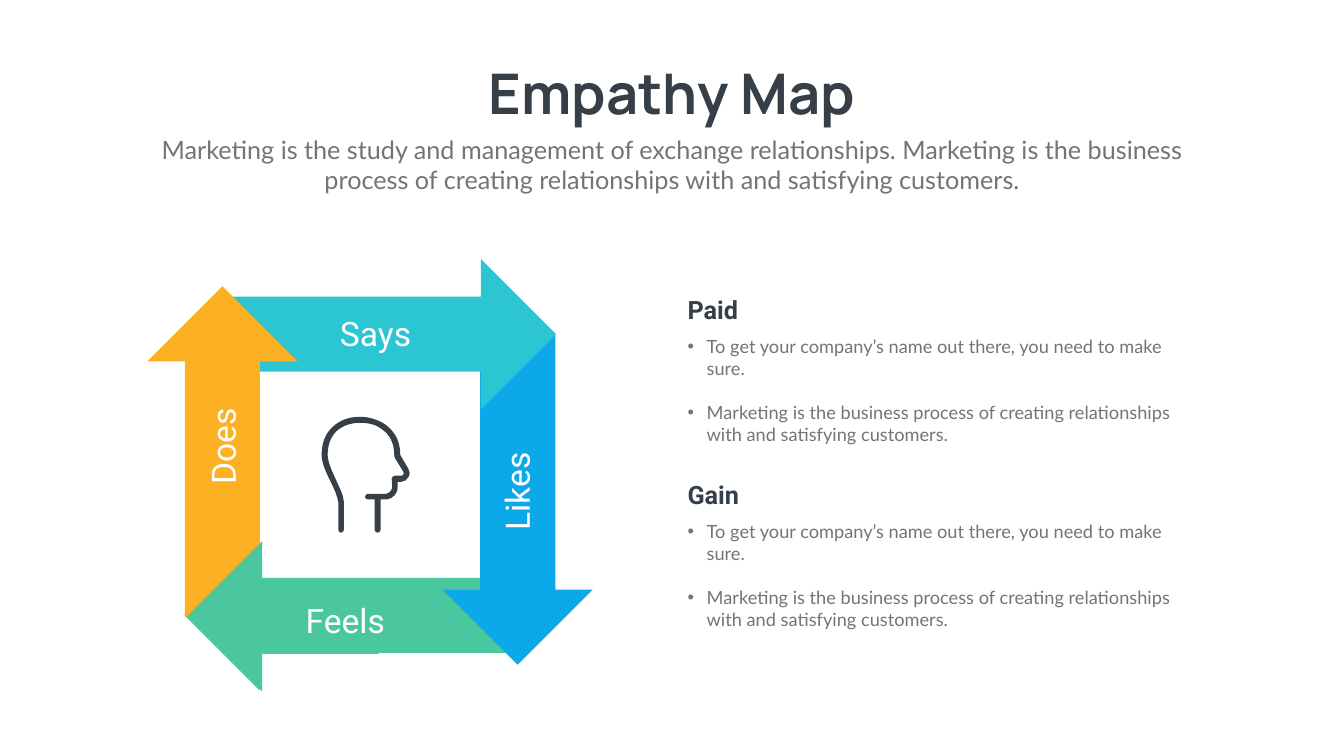
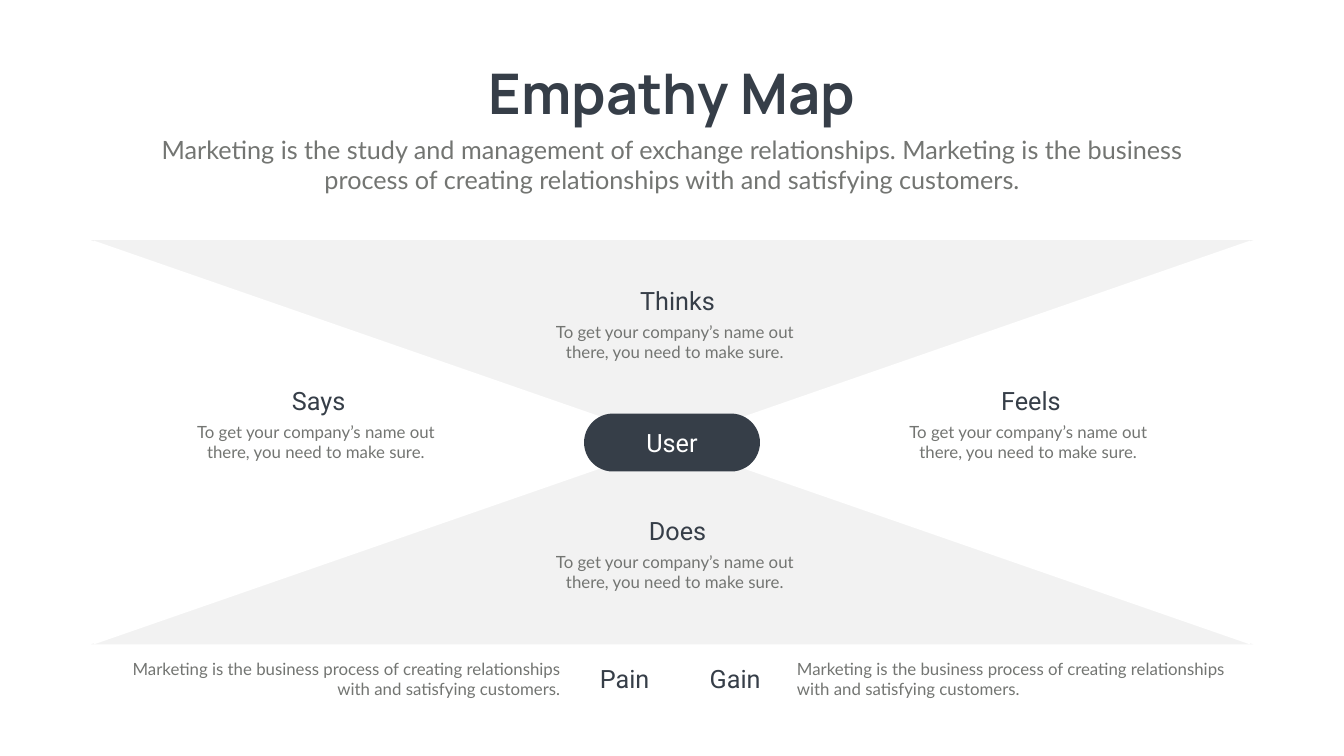
from pptx import Presentation
from pptx import util as u
from pptx.dml.color import RGBColor
from pptx.enum import shapes, text
from lxml import etree

COLUMNS, ROWS = 26.66, 15
CELL = u.Inches(1)
INK, GREY, PALE, WHITE = "363E48", "737572", "F2F2F2", "FFFFFF"
GREEN, BLUE, TEAL, AMBER = "4BC79F", "0BA9E9", "2CC5D2", "FBB123"
LEFT, CENTER, RIGHT = text.PP_ALIGN.LEFT, text.PP_ALIGN.CENTER, text.PP_ALIGN.RIGHT
A = "{http://schemas.openxmlformats.org/drawingml/2006/main}"

SUBTITLE = (
    "Marketing is the study and management of exchange relationships. "
    "Marketing is the business process of creating relationships with and satisfying customers."
)
NAME_TIP = "To get your company’s name out there, you need to make sure."
PROCESS_TIP = (
    "Marketing is the business process of creating relationships "
    "with and satisfying customers."
)


def add_text(slide, box, lines, size, font="Roboto", color=INK, align=LEFT, bold=False, bullets=False):
    area = slide.shapes.add_textbox(*[int(side * CELL) for side in box])
    area.text_frame.word_wrap = True
    for index, line in enumerate(lines):
        para = area.text_frame.paragraphs[0] if index == 0 else area.text_frame.add_paragraph()
        para.alignment = align
        if index:
            para.space_before = u.Pt(size * 1.2)
        if bullets:
            props = para._p.get_or_add_pPr()
            props.set("marL", str(int(0.38 * CELL)))
            props.set("indent", str(-int(0.38 * CELL)))
            etree.SubElement(props, A + "buFont").set("typeface", "Arial")
            etree.SubElement(props, A + "buChar").set("char", "•")
        run = para.add_run()
        run.text = line
        run.font.size, run.font.name, run.font.bold = u.Pt(size), font, bold
        run.font.color.rgb = RGBColor.from_string(color)
    return area


def add_form(slide, kind, middle, width, height, color, rotation=0):
    left, top = middle[0] - width / 2, middle[1] - height / 2
    form = slide.shapes.add_shape(kind, *[int(side * CELL) for side in (left, top, width, height)])
    form.rotation = rotation
    form.shadow.inherit = False
    form.fill.solid()
    form.fill.fore_color.rgb = RGBColor.from_string(color)
    form.line.fill.background()
    return form


deck = Presentation()
deck.slide_width, deck.slide_height = int(COLUMNS * CELL), int(ROWS * CELL)
cycle, quadrants = [deck.slides.add_slide(deck.slide_layouts[5]) for _ in range(2)]

for slide in (cycle, quadrants):
    title = slide.shapes.title
    title.left, title.top, title.width, title.height = [
        int(side * CELL) for side in (9.21, 1.12, 8.24, 1.45)
    ]
    frame = title.text_frame
    frame.word_wrap = False
    frame.auto_size = text.MSO_AUTO_SIZE.NONE
    frame.vertical_anchor = text.MSO_ANCHOR.TOP
    heading = frame.paragraphs[0]
    heading.alignment = CENTER
    run = heading.add_run()
    run.text = "Empathy Map"
    run.font.size, run.font.name, run.font.bold = u.Pt(80), "Manrope", True
    run.font.color.rgb = RGBColor.from_string(INK)
    add_text(slide, (2.92, 2.61, 20.82, 1.31), [SUBTITLE], 36, "Lato", GREY, CENTER)

for middle, length, color, rotation in (
    ((6.94, 12.21), 6.56, GREEN, 90),
    ((10.27, 9.91), 6.56, BLUE, 0),
    ((7.75, 6.63), 6.56, TEAL, 270),
    ((4.41, 8.96), 6.56, AMBER, 180),
    ((5.61, 12.23), 3.8, GREEN, 90),
):
    add_form(cycle, shapes.MSO_SHAPE.DOWN_ARROW, middle, 2.98, length, color, rotation)

for label, left, top, rotation in (
    ("Says", 5.82, 6.16, 0),
    ("Feels", 5.22, 11.86, 0),
    ("Likes", 8.62, 9.3, 270),
    ("Does", 2.79, 8.4, 270),
):
    side = add_text(cycle, (left, top, 3.26, 0.91), [label], 48, color=WHITE, align=CENTER)
    side.rotation = rotation

for topic, top in (("Paid", 5.79), ("Gain", 9.46)):
    add_text(cycle, (13.54, top + 0.82, 10.2, 1.85), [NAME_TIP, PROCESS_TIP], 26, "Lato", GREY, bullets=True)
    add_text(cycle, (13.54, top, 3.26, 0.71), [topic], 36, bold=True)

head_start = (172, 120)
head_outline = [
    (169, 125, 164, 129, 158, 129), (151, 129), (151, 138),
    (152, 151, 142, 162, 130, 164), (117, 164), (117, 224),
    (117, 227, 114, 230, 111, 230), (108, 230, 105, 227, 105, 224),
    (105, 164), (92, 164), (89, 164, 86, 162, 86, 159), (86, 155, 89, 153, 92, 153),
    (127, 153), (135, 152, 140, 145, 140, 138), (139, 123),
    (139, 121, 140, 120, 141, 119), (142, 118, 143, 117, 145, 117),
    (158, 117), (161, 117, 162, 115, 162, 114), (163, 113, 164, 111, 162, 109),
    (145, 81), (144, 79, 144, 78, 144, 76), (144, 57, 138, 40, 125, 29),
    (119, 24, 112, 19, 104, 16), (95, 13, 86, 12, 76, 12),
    (57, 12, 41, 18, 29, 29), (18, 40, 12, 56, 12, 75),
    (12, 89, 20, 107, 28, 124), (35, 140, 43, 154, 44, 168), (44, 224),
    (44, 227, 42, 230, 39, 230), (35, 230, 33, 227, 33, 224), (33, 169),
    (31, 157, 25, 143, 18, 129), (9, 111, 0, 92, 0, 75),
    (0, 53, 7, 34, 21, 21), (35, 7, 54, 0, 76, 0),
    (87, 0, 98, 2, 108, 6), (117, 9, 126, 14, 133, 21),
    (140, 27, 146, 35, 150, 44), (154, 54, 156, 64, 156, 75),
    (156, 76), (172, 103), (175, 108, 176, 114, 172, 120),
]
builder = cycle.shapes.build_freeform(*head_start, scale=CELL / 100)
builder.add_line_segments([segment[-2:] for segment in head_outline], close=True)
head = builder.convert_to_shape(int(6.38 * CELL), int(8.27 * CELL))
outline = next(head._element.iter(A + "path"))
for line, segment in zip(outline.findall(A + "lnTo"), head_outline):
    if len(segment) == 6:
        curve = etree.Element(A + "cubicBezTo")
        for x, y in zip(segment[::2], segment[1::2]):
            etree.SubElement(curve, A + "pt", x=str(x), y=str(y))
        outline.replace(line, curve)
outline.set("w", "175")
head.width = int(1.75 * CELL)
head.shadow.inherit = False
head.fill.solid()
head.fill.fore_color.rgb = RGBColor.from_string(INK)
head.line.fill.background()

for middle, width, height, color, rotation in (
    ((13.33, 10.78), 23.05, 4.01, PALE, 0),
    ((13.33, 6.77), 23.05, 4.01, PALE, 180),
    ((19.03, 8.78), 8.01, 11.53, WHITE, 270),
    ((7.63, 8.78), 8.01, 11.53, WHITE, 90),
):
    add_form(quadrants, shapes.MSO_SHAPE.ISOSCELES_TRIANGLE, middle, width, height, color, rotation)

for label, left, top in (
    ("Says", 3.56, 7.6),
    ("Thinks", 10.68, 5.62),
    ("Feels", 17.69, 7.6),
    ("Does", 10.68, 10.18),
):
    add_text(quadrants, (left, top + 0.71, 5.41, 0.91), [NAME_TIP], 24, "Lato", GREY, CENTER)
    add_text(quadrants, (left + 1.13, top, 3.26, 0.71), [label], 36, align=CENTER)

for label, label_left, note_left, align in (
    ("Gain", 13.98, 15.71, LEFT),
    ("Pain", 9.72, 2.33, RIGHT),
):
    add_text(quadrants, (label_left, 13.11, 3.26, 0.71), [label], 36, align=align)
    add_text(quadrants, (note_left, 13.02, 8.88, 0.91), [PROCESS_TIP], 24, "Lato", GREY, align)

user = add_form(quadrants, shapes.MSO_SHAPE.ROUNDED_RECTANGLE, (13.33, 8.78), 3.49, 1.15, INK)
user.adjustments[0] = 0.5
user.text_frame.vertical_anchor = text.MSO_ANCHOR.MIDDLE
persona = user.text_frame.paragraphs[0]
persona.alignment = CENTER
run = persona.add_run()
run.text = "User"
run.font.size, run.font.name = u.Pt(36), "Roboto"
run.font.color.rgb = RGBColor.from_string(WHITE)

deck.save("out.pptx")
